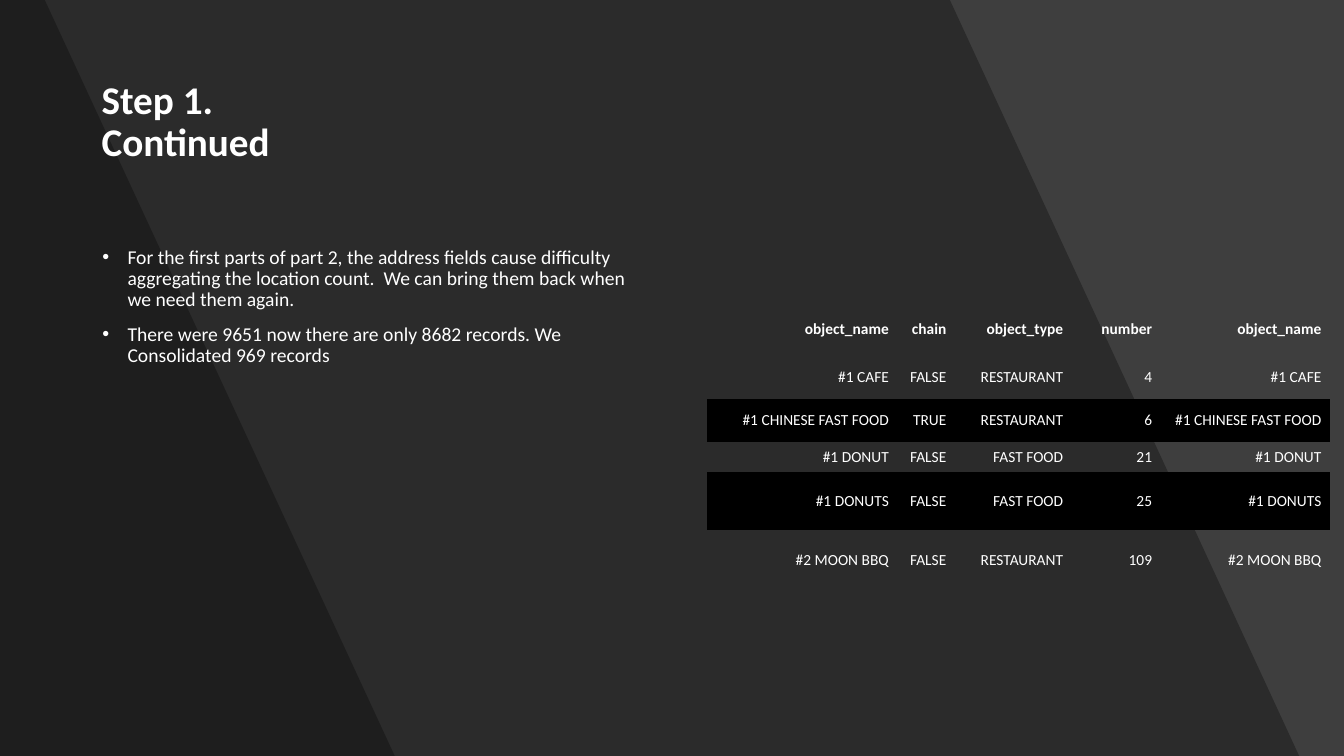
from dataclasses import dataclass

from lxml.etree import SubElement
from pptx import Presentation
from pptx.dml.color import RGBColor
from pptx.enum.text import MSO_ANCHOR, PP_ALIGN
from pptx.oxml.ns import qn
from pptx.slide import Slide
from pptx.text.text import TextFrame
from pptx.util import Pt

COLORS = {"background": "454545", "shade": "000000", "band": "000000", "text": "FFFFFF"}
FONT = "Calibri"
PAGE_WIDTH, PAGE_HEIGHT = 960, 540
NO_STYLE_NO_GRID = "{2D5ABB26-0587-4C30-8999-92F81FD0307C}"


@dataclass
class Shade:
    """A dark veil from the left edge, with a slanted right edge."""
    top_right: float
    bottom_right: float
    opacity: int


@dataclass
class TableRow:
    """One table row with its height and look."""
    height: float
    values: tuple[str, ...]
    banded: bool = False
    bold: bool = False


SHADES = [
    Shade(PAGE_WIDTH, PAGE_WIDTH, 9),
    Shade(678.5, 928, 30),
    Shade(32, 282, 30),
]
BULLETS = [
    "For the first parts of part 2, the address fields cause difficulty aggregating "
    "the location count.  We can bring them back when we need them again.",
    "There were 9651 now there are only 8682 records. We Consolidated 969 records",
]
COLUMN_WIDTHS = (136, 41, 83.5, 63.5, 121)
TABLE_ROWS = [
    TableRow(38, ("object_name", "chain", "object_type", "number"), bold=True),
    TableRow(31, ("#1 CAFE", "FALSE", "RESTAURANT", "4")),
    TableRow(31, ("#1 CHINESE FAST FOOD", "TRUE", "RESTAURANT", "6"), banded=True),
    TableRow(21, ("#1 DONUT", "FALSE", "FAST FOOD", "21")),
    TableRow(42, ("#1 DONUTS", "FALSE", "FAST FOOD", "25"), banded=True),
    TableRow(42, ("#2 MOON BBQ", "FALSE", "RESTAURANT", "109")),
]


def color(name: str) -> RGBColor:
    """Look up a named colour."""
    return RGBColor.from_string(COLORS[name])


def write(frame: TextFrame, *texts: str, size: float, bold: bool = False,
          align: PP_ALIGN = PP_ALIGN.LEFT, line_spacing: float = 1.0,
          space_before: float = 0, bullet_indent: float = 0) -> None:
    """Write each text as one paragraph of the frame."""
    for index, text in enumerate(texts):
        para = frame.add_paragraph() if index else frame.paragraphs[0]
        para.text = text
        para.alignment = align
        para.line_spacing = line_spacing
        para.space_before = Pt(space_before)
        if bullet_indent:
            properties = para._p.get_or_add_pPr()
            properties.set("marL", str(Pt(bullet_indent)))
            properties.set("indent", str(-Pt(bullet_indent)))
            SubElement(properties, qn("a:buFont"), typeface="Arial")
            SubElement(properties, qn("a:buChar"), char="•")
        for span in para.runs:
            span.font.name = FONT
            span.font.size = Pt(size)
            span.font.bold = bold
            span.font.color.rgb = color("text")


def add_shade(page: Slide, shade: Shade) -> None:
    """Draw one translucent veil over the full page height."""
    builder = page.shapes.build_freeform(0, 0)
    builder.add_line_segments([
        (Pt(shade.top_right), 0),
        (Pt(shade.bottom_right), Pt(PAGE_HEIGHT)),
        (0, Pt(PAGE_HEIGHT)),
    ])
    veil = builder.convert_to_shape()
    veil.shadow.inherit = False
    veil.line.fill.background()
    veil.fill.solid()
    veil.fill.fore_color.rgb = color("shade")
    fill_color = veil._element.spPr.find(qn("a:solidFill"))[0]
    SubElement(fill_color, qn("a:alpha"), val=str(shade.opacity * 1000))


def add_frame(page: Slide, left: float, top: float, width: float, height: float,
              anchor: MSO_ANCHOR) -> TextFrame:
    """Add a wrapping text box and return its frame."""
    box = page.shapes.add_textbox(Pt(left), Pt(top), Pt(width), Pt(height))
    box.text_frame.word_wrap = True
    box.text_frame.vertical_anchor = anchor
    return box.text_frame


def add_records_table(page: Slide, left: float, top: float) -> None:
    """Add the table of records, repeating the name in the last column."""
    height = sum(row.height for row in TABLE_ROWS)
    table = page.shapes.add_table(
        len(TABLE_ROWS), len(COLUMN_WIDTHS), Pt(left), Pt(top),
        Pt(sum(COLUMN_WIDTHS)), Pt(height)).table
    table.first_row = table.horz_banding = False
    table._tbl.tblPr.find(qn("a:tableStyleId")).text = NO_STYLE_NO_GRID
    for column, width in zip(table.columns, COLUMN_WIDTHS):
        column.width = Pt(width)
    for row_index, row in enumerate(TABLE_ROWS):
        table.rows[row_index].height = Pt(row.height)
        for column_index, value in enumerate((*row.values, row.values[0])):
            cell = table.cell(row_index, column_index)
            cell.vertical_anchor = MSO_ANCHOR.MIDDLE
            cell.margin_left = cell.margin_right = Pt(6)
            cell.margin_top = cell.margin_bottom = Pt(3)
            if row.banded:
                cell.fill.solid()
                cell.fill.fore_color.rgb = color("band")
            else:
                cell.fill.background()
            write(cell.text_frame, value, size=11, bold=row.bold, align=PP_ALIGN.RIGHT)


def main() -> None:
    """Build and save the deck."""
    deck = Presentation()
    deck.slide_width, deck.slide_height = Pt(PAGE_WIDTH), Pt(PAGE_HEIGHT)
    page = deck.slides.add_slide(deck.slide_layouts[6])
    page.background.fill.solid()
    page.background.fill.fore_color.rgb = color("background")
    for shade in SHADES:
        add_shade(page, shade)
    title = add_frame(page, 65.5, 35.5, 829, 104.5, MSO_ANCHOR.MIDDLE)
    write(title, "Step 1.\vContinued", size=28, bold=True, line_spacing=0.9)
    body = add_frame(page, 66, 173, 389, 314, MSO_ANCHOR.TOP)
    write(body, *BULLETS, size=14, line_spacing=0.9, space_before=10, bullet_indent=18)
    add_records_table(page, 505, 216)
    deck.save("out.pptx")


main()
